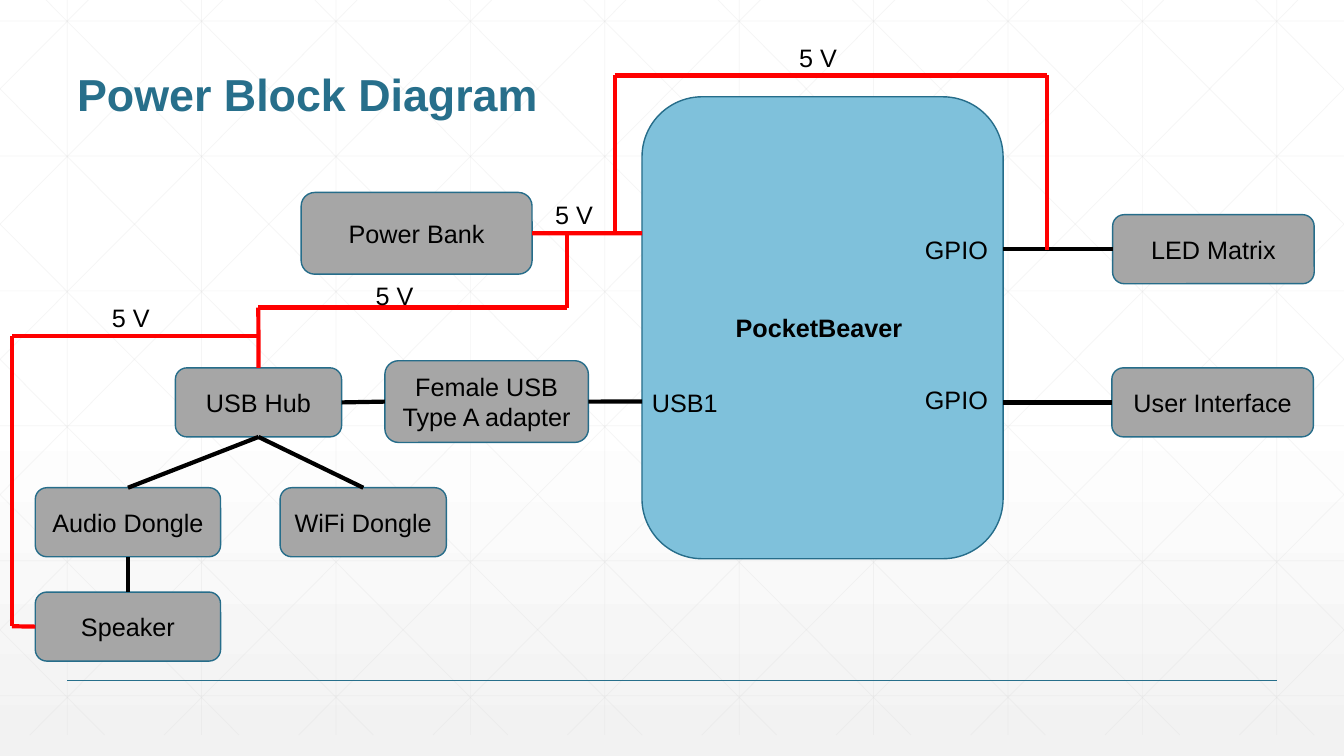
from dataclasses import dataclass
from typing import Any, NamedTuple

import lxml.etree
import pptx
import pptx.dml.color
import pptx.enum.shapes
import pptx.enum.text
import pptx.oxml.ns
import pptx.util

Cm = pptx.util.Cm
Pt = pptx.util.Pt
ANCHOR = pptx.enum.text.MSO_ANCHOR
ALIGN = pptx.enum.text.PP_ALIGN
AUTO_SIZE = pptx.enum.text.MSO_AUTO_SIZE
SLIDE_WIDTH, SLIDE_HEIGHT = 33.87, 19.05
TOP, LEFT, BOTTOM, RIGHT = range(4)


@dataclass(frozen=True)
class Theme:
    font: str = "Arial"
    title_size: int = 32
    text_size: int = 18
    title: str = "276F8B"
    text: str = "000000"
    block: str = "A6A6A6"
    board: str = "7FC1DB"
    outline: str = "266D8A"
    power: str = "FF0000"
    data: str = "000000"
    grid: str = "D9D9D9"
    background_top: str = "FFFFFF"
    background_bottom: str = "F2F2F2"


THEME = Theme()


class Joint(NamedTuple):
    """The middle of one side of a block, where a wire is attached."""
    shape: Any
    side: int


def rgb(colour):
    return pptx.dml.color.RGBColor.from_string(colour)


def apply(target, formats):
    for name, value in formats.items():
        setattr(target, name, value)


def write(shape, text, frame_format, paragraph_format, size, colour, bold=False):
    apply(shape.text_frame, frame_format)
    paragraph = shape.text_frame.paragraphs[0]
    apply(paragraph, paragraph_format)
    run = paragraph.add_run()
    run.text = text
    apply(run.font, {"name": THEME.font, "size": Pt(size), "bold": bold})
    run.font.color.rgb = rgb(colour)


def add_line(shapes, start, end, colour, width):
    """Draw a straight line; each end is an (x, y) point in cm or a Joint."""
    points = [(0, 0) if isinstance(end_point, Joint) else end_point
              for end_point in (start, end)]
    line = shapes.add_connector(
        pptx.enum.shapes.MSO_CONNECTOR.STRAIGHT,
        *(Cm(value) for point in points for value in point))
    if isinstance(start, Joint):
        line.begin_connect(start.shape, start.side)
    if isinstance(end, Joint):
        line.end_connect(end.shape, end.side)
    line.line.color.rgb = rgb(colour)
    line.line.width = Pt(width)
    properties = line.element.spPr
    lxml.etree.SubElement(properties, pptx.oxml.ns.qn("a:effectLst"))
    return line


def add_wire(slide, colour, *stops):
    for start, end in zip(stops, stops[1:]):
        add_line(slide.shapes, start, end, colour, 3)


def add_block(slide, text, left, top, width, height, fill=THEME.block):
    shape = slide.shapes.add_shape(
        pptx.enum.shapes.MSO_SHAPE.ROUNDED_RECTANGLE,
        Cm(left), Cm(top), Cm(width), Cm(height))
    shape.shadow.inherit = False
    shape.fill.solid()
    shape.fill.fore_color.rgb = rgb(fill)
    shape.line.color.rgb = rgb(THEME.outline)
    shape.line.width = Pt(1)
    if text:
        write(shape, text,
              {"word_wrap": True, "vertical_anchor": ANCHOR.MIDDLE},
              {"alignment": ALIGN.CENTER}, THEME.text_size, THEME.text)
    return shape


def add_label(slide, text, left, top, width, bold=False):
    box = slide.shapes.add_textbox(Cm(left), Cm(top), Cm(width), Cm(1.02))
    write(box, text, {"word_wrap": True}, {"alignment": ALIGN.LEFT},
          THEME.text_size, THEME.text, bold)


def add_title(slide, text):
    title = slide.shapes.title
    apply(title, {"left": Cm(1.69), "top": Cm(0.64),
                  "width": Cm(30.48), "height": Cm(2.54)})
    write(title, text,
          {"word_wrap": True, "vertical_anchor": ANCHOR.BOTTOM,
           "auto_size": AUTO_SIZE.NONE},
          {"alignment": ALIGN.LEFT, "line_spacing": 0.9},
          THEME.title_size, THEME.title, True)


def grid_lines():
    """Yield the ends of the upright, level and mirrored diagonal lines."""
    step, bottom, slope = SLIDE_WIDTH / 10, 18.52, 1.006
    for column in range(10):
        x = (column + 0.5) * step
        yield (x, 0), (x, bottom)
    for row in range(6):
        y = 0.53 + row * 3.4
        yield (0, y), (SLIDE_WIDTH, y)
    for diagonal in range(-5, 10):
        x = 1.16 + diagonal * step
        first = max(0, -x * slope)
        last = min(bottom, (SLIDE_WIDTH - x) * slope)
        ends = [(x + y / slope, y) for y in (first, last)]
        yield ends
        yield [(SLIDE_WIDTH - across, y) for across, y in ends]


def add_background(slide):
    fill = slide.background.fill
    fill.gradient()
    fill.gradient_angle = 270
    colours = (THEME.background_top, THEME.background_bottom)
    for stop, colour, position in zip(fill.gradient_stops, colours, (0.53, 1)):
        stop.color.rgb = rgb(colour)
        stop.position = position
    grid = slide.shapes.add_group_shape()
    for start, end in grid_lines():
        line = add_line(grid.shapes, start, end, THEME.grid, 0.5)
        colour = line.element.find(".//" + pptx.oxml.ns.qn("a:srgbClr"))
        lxml.etree.SubElement(colour, pptx.oxml.ns.qn("a:alpha"), val="25000")
    slide.shapes.title.element.addprevious(grid.element)
    add_line(slide.shapes, (1.69, 17.14), (32.17, 17.14), THEME.title, 1)


def add_diagram(slide):
    add_block(slide, "", 16.18, 2.44, 9.1, 11.64, THEME.board)
    bank = add_block(slide, "Power Bank", 7.59, 4.85, 5.82, 2.06)
    hub = add_block(slide, "USB Hub", 4.42, 9.27, 4.19, 1.74)
    adapter = add_block(slide, "Female USB Type A adapter", 9.7, 9.09, 5.13, 2.06)
    matrix = add_block(slide, "LED Matrix", 28.04, 5.41, 5.08, 1.74)
    interface = add_block(slide, "User Interface", 28.02, 9.27, 5.08, 1.74)
    wifi = add_block(slide, "WiFi Dongle", 7.06, 12.29, 4.19, 1.74)
    audio = add_block(slide, "Audio Dongle", 0.89, 12.29, 4.67, 1.74)
    speaker = add_block(slide, "Speaker", 0.89, 14.92, 4.67, 1.74)

    for stops in (
        ((25.28, 6.28), Joint(matrix, LEFT)),
        ((25.28, 10.14), Joint(interface, LEFT)),
        (Joint(adapter, RIGHT), (16.18, 10.12)),
        (Joint(hub, RIGHT), Joint(adapter, LEFT)),
        (Joint(hub, BOTTOM), Joint(wifi, TOP)),
        (Joint(hub, BOTTOM), Joint(audio, TOP)),
        (Joint(audio, BOTTOM), Joint(speaker, TOP)),
    ):
        add_wire(slide, THEME.data, *stops)
    for stops in (
        (Joint(bank, RIGHT), (16.18, 5.88)),
        ((15.49, 5.88), (15.49, 1.9), (26.38, 1.9), (26.38, 6.3)),
        ((14.28, 5.88), (14.28, 7.75), (6.51, 7.75), Joint(hub, TOP)),
        ((6.51, 8.46), (0.3, 8.46), (0.3, 15.78), Joint(speaker, LEFT)),
    ):
        add_wire(slide, THEME.power, *stops)

    add_label(slide, "PocketBeaver", 18.29, 7.75, 4.88, bold=True)
    add_label(slide, "USB1", 16.18, 9.63, 2.24)
    for top in (5.77, 9.55):
        add_label(slide, "GPIO", 23.06, top, 2.24)
    for left, top in ((19.89, 0.94), (13.74, 4.9), (9.22, 6.93), (2.57, 7.49)):
        add_label(slide, "5 V", left, top, 2.11)


def main():
    presentation = pptx.Presentation()
    presentation.slide_width = Cm(SLIDE_WIDTH)
    presentation.slide_height = Cm(SLIDE_HEIGHT)
    slide = presentation.slides.add_slide(presentation.slide_layouts[5])
    add_background(slide)
    add_title(slide, "Power Block Diagram")
    add_diagram(slide)
    presentation.save("out.pptx")


if __name__ == "__main__":
    main()
